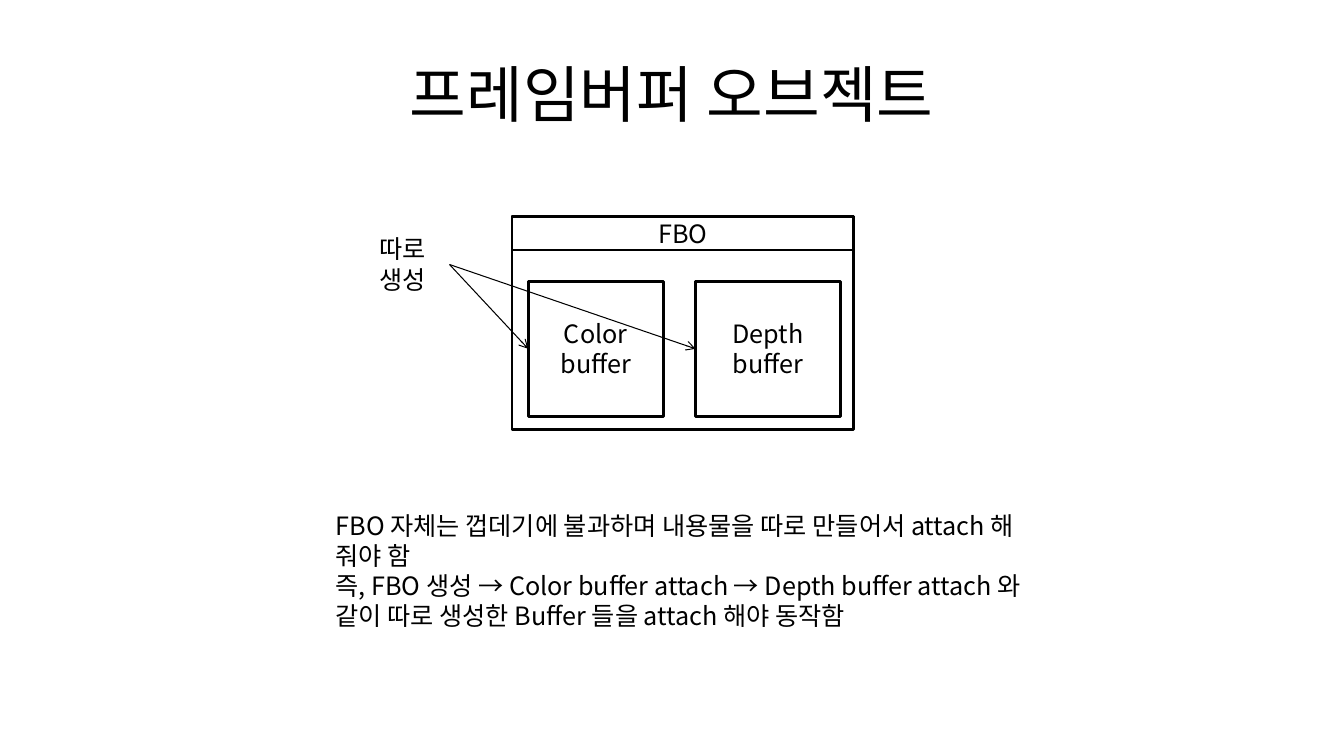
from lxml import etree
from pptx import Presentation
from pptx.dml.color import RGBColor
from pptx.enum.shapes import MSO_CONNECTOR, MSO_SHAPE
from pptx.enum.text import MSO_ANCHOR, MSO_AUTO_SIZE, PP_ALIGN
from pptx.oxml.ns import qn
from pptx.util import Pt

BLACK = RGBColor(0, 0, 0)
WHITE = RGBColor(255, 255, 255)
FONT = "Noto Sans CJK KR"
RECTANGLE = MSO_SHAPE.RECTANGLE
STRAIGHT = MSO_CONNECTOR.STRAIGHT
MIDDLE = MSO_ANCHOR.MIDDLE
CENTER, LEFT = PP_ALIGN.CENTER, PP_ALIGN.LEFT
GROW = MSO_AUTO_SIZE.SHAPE_TO_FIT_TEXT
NO_FIT = MSO_AUTO_SIZE.NONE
LEFT_SITE, RIGHT_SITE = 1, 3

FBO_LEFT, FBO_TOP, FBO_WIDTH = 365.8, 154.8, 244
BUFFER_TOP, BUFFER_HEIGHT = 200.9, 96.5
EXPLANATION = (
    "FBO 자체는 껍데기에 불과하며 내용물을 따로 만들어서 attach 해 줘야 함\n"
    "즉, FBO 생성 → Color buffer attach → Depth buffer attach "
    "와 같이 따로 생성한 Buffer 들을 attach 해야 동작함"
)


def write_text(shape, text, size=18, align=LEFT):
    """Fill a shape with text in the slide's font for Latin and Korean."""
    frame = shape.text_frame
    frame.text = text
    frame.word_wrap = True
    for paragraph in frame.paragraphs:
        paragraph.alignment = align
        for run in paragraph.runs:
            run.font.size = Pt(size)
            run.font.name = FONT
            run.font.color.rgb = BLACK
            korean = etree.SubElement(run.font._element, qn("a:ea"))
            korean.set("typeface", FONT)


def add_title(slide, text):
    """Place and format the title placeholder."""
    title = slide.shapes.title
    title.left, title.top = Pt(48), Pt(21.6)
    title.width, title.height = Pt(864), Pt(90)
    write_text(title, text, 44, CENTER)
    title.text_frame.vertical_anchor = MIDDLE
    title.text_frame.auto_size = NO_FIT


def add_box(shapes, left, top, width, height, text=""):
    """Add a white box with a black outline and centred text."""
    box = shapes.add_shape(RECTANGLE, Pt(left), Pt(top), Pt(width), Pt(height))
    box.shadow.inherit = False
    box.fill.solid()
    box.fill.fore_color.rgb = WHITE
    box.line.color.rgb = BLACK
    box.line.width = Pt(2)
    if text:
        write_text(box, text, align=CENTER)
        box.text_frame.vertical_anchor = MIDDLE
    return box


def add_note(slide, left, top, width, height, text):
    """Add a wrapping text box that grows with its text."""
    note = slide.shapes.add_textbox(Pt(left), Pt(top), Pt(width), Pt(height))
    write_text(note, text)
    note.text_frame.auto_size = GROW
    return note


def add_arrow(slide, source, target):
    """Connect the right side of source to the left side of target."""
    arrow = slide.shapes.add_connector(STRAIGHT, 0, 0, 0, 0)
    arrow.begin_connect(source, RIGHT_SITE)
    arrow.end_connect(target, LEFT_SITE)
    arrow.line.color.rgb = BLACK
    arrow.line.width = Pt(0.75)
    etree.SubElement(arrow.line._get_or_add_ln(), qn("a:tailEnd"), type="arrow")
    etree.SubElement(arrow._element.spPr, qn("a:effectLst"))


def main():
    """Build the framebuffer object slide."""
    presentation = Presentation()
    presentation.slide_width, presentation.slide_height = Pt(960), Pt(540)
    slide = presentation.slides.add_slide(presentation.slide_layouts[5])
    add_title(slide, "프레임버퍼 오브젝트")

    fbo = slide.shapes.add_group_shape()
    add_box(fbo.shapes, FBO_LEFT, FBO_TOP, FBO_WIDTH, 152)
    add_box(fbo.shapes, FBO_LEFT, FBO_TOP, FBO_WIDTH, 23.8, "FBO")

    buffers = [
        add_box(slide.shapes, left, BUFFER_TOP, width, BUFFER_HEIGHT, text)
        for left, width, text in (
            (377.3, 96.5, "Color buffer"),
            (496.8, 103.7, "Depth buffer"),
        )
    ]
    add_note(slide, 232.6, 360.7, 510.5, 94.3, EXPLANATION)
    separate_creation = add_note(slide, 264.2, 163.4, 56.9, 51.1, "따로 생성")
    for buffer in buffers:
        add_arrow(slide, separate_creation, buffer)

    presentation.save("out.pptx")


if __name__ == "__main__":
    main()
